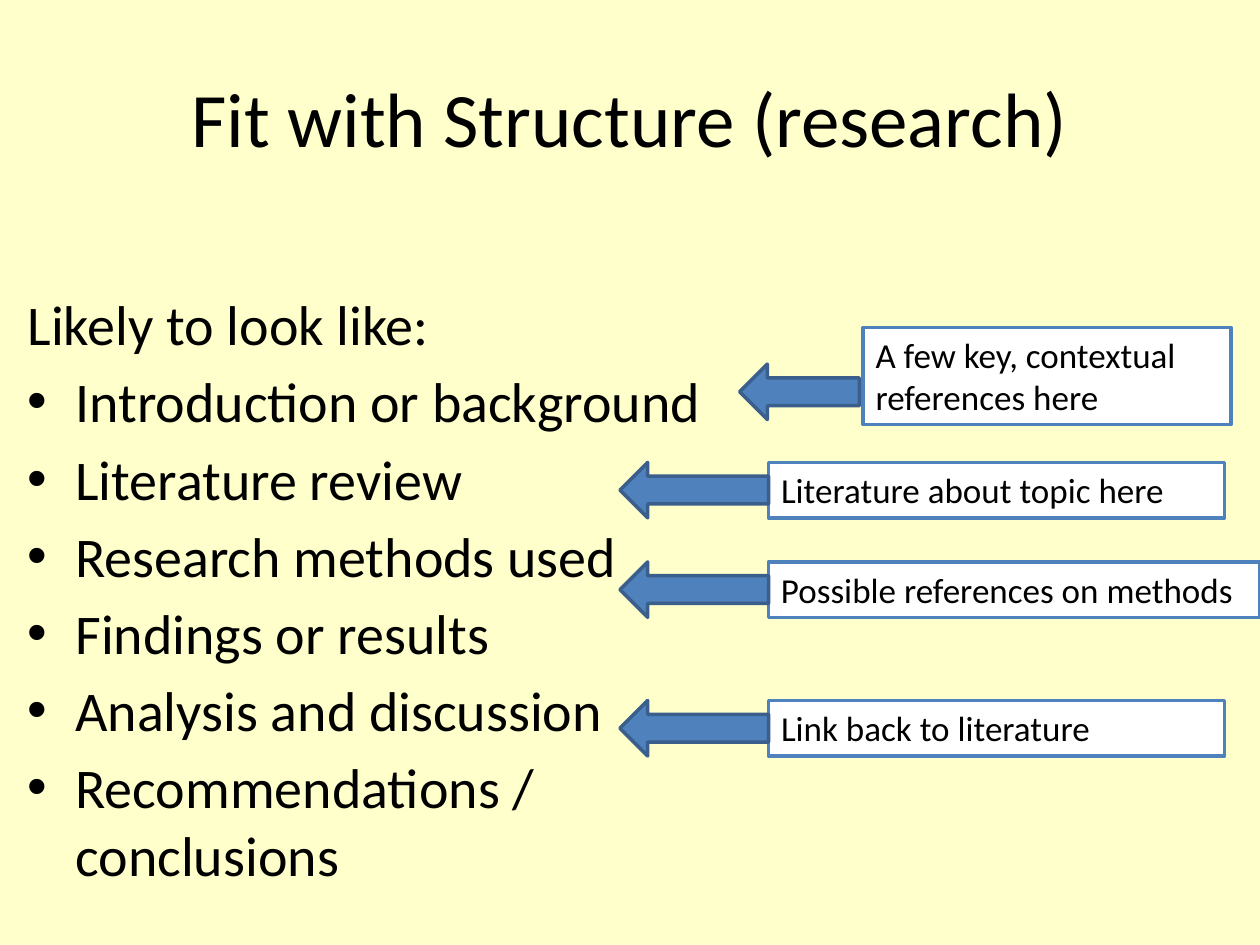
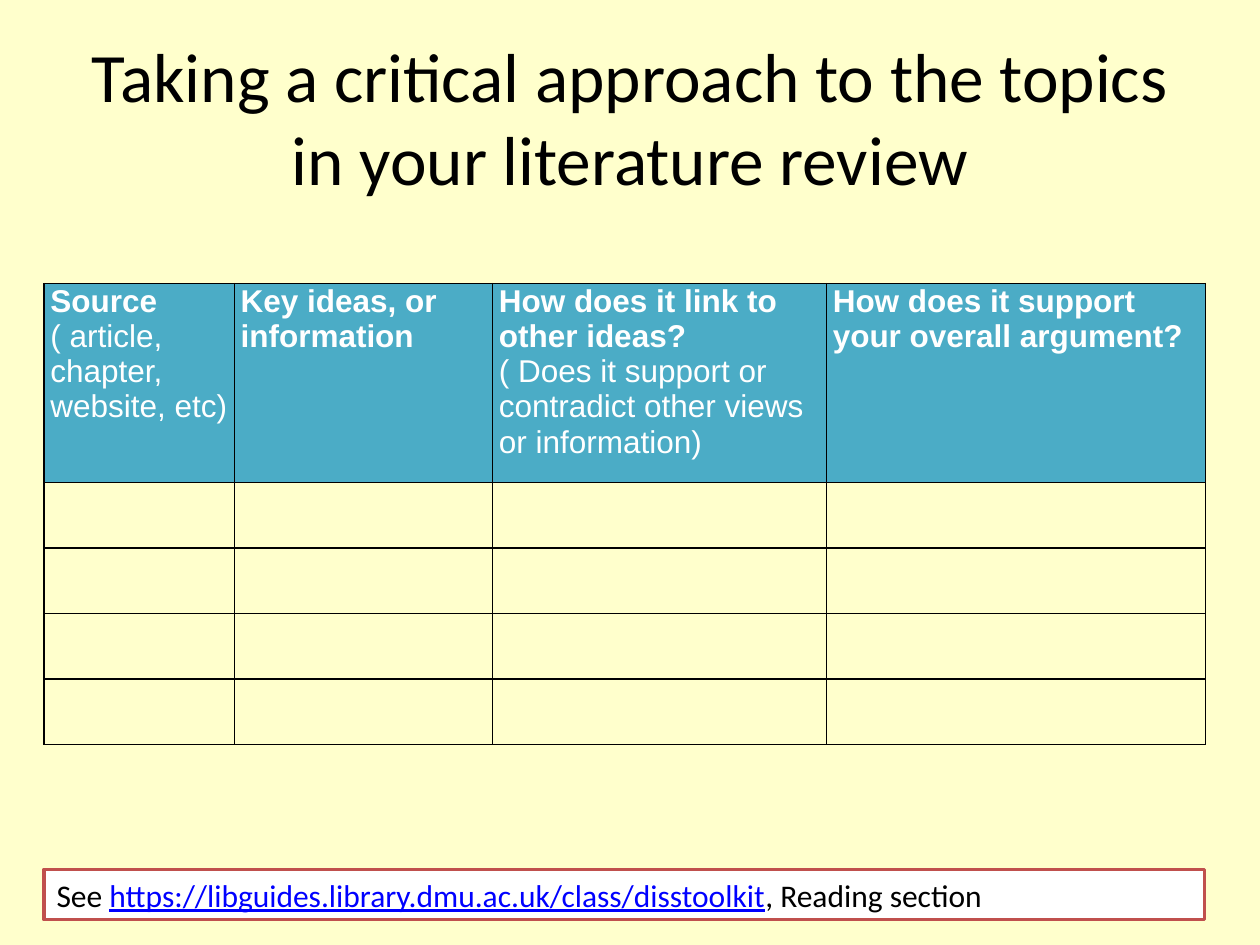
import pptx
import pptx.dml.color
import pptx.enum.shapes
import pptx.enum.text
import pptx.oxml.ns
import pptx.util
from lxml import etree

Inches = pptx.util.Inches
Pt = pptx.util.Pt

CREAM, WHITE, BLACK = "FFFFCC", "FFFFFF", "000000"
BLUE, DARK_BLUE, TEAL, RED, LINK = "4F81BD", "3A5F8C", "4BACC6", "C0504D", "0000FF"

SECTIONS = [
    "Introduction or background",
    "Literature review",
    "Research methods used",
    "Findings or results",
    "Analysis and discussion",
    "Recommendations / conclusions",
]
# note, box (left, top, width, height), arrow (left, top, width)
NOTES = [
    ("Literature about topic here", (6.1, 3.67, 3.62, 0.44), (4.92, 3.67, 1.18)),
    ("A few key, contextual references here", (6.85, 2.6, 2.92, 0.77), (5.87, 2.89, 0.95)),
    ("Link back to literature", (6.1, 5.56, 3.62, 0.44), (4.92, 5.56, 1.18)),
    ("Possible references on methods", (6.1, 4.46, 3.9, 0.44), (4.92, 4.46, 1.18)),
]
ARROW_HEIGHT = 0.44
# heading, explanation
COLUMNS = [
    ("Source", "( article, chapter, website, etc)"),
    ("Key ideas, or information", ""),
    ("How does it link to other ideas?",
     "( Does it support or contradict other views or information)"),
    ("How does it support your overall argument?", ""),
]
COLUMN_WIDTHS = [1.51, 2.05, 2.65, 3.01]
ROW_HEIGHTS = [1.58] + [0.52] * 4


def rgb(colour):
    return pptx.dml.color.RGBColor.from_string(colour)


def style(font, size, colour=BLACK, name="Calibri", bold=False):
    font.size, font.name, font.bold = Pt(size), name, bold
    font.color.rgb = rgb(colour)


def paint(shape, fill, line):
    shape.fill.solid()
    shape.fill.fore_color.rgb = rgb(fill)
    shape.line.color.rgb = rgb(line)
    shape.line.width = Pt(2)


def add_titled_slide(deck, text, size):
    slide = deck.slides.add_slide(deck.slide_layouts[5])
    title = slide.shapes.title
    title.left, title.top, title.width, title.height = map(Inches, (0.5, 0.3, 9, 1.25))
    frame = title.text_frame
    frame.text = text
    frame.auto_size = pptx.enum.text.MSO_AUTO_SIZE.NONE
    frame.vertical_anchor = pptx.enum.text.MSO_ANCHOR.MIDDLE
    frame.paragraphs[0].alignment = pptx.enum.text.PP_ALIGN.CENTER
    style(frame.paragraphs[0].runs[0].font, size)
    return slide


def add_text_box(slide, place):
    box = slide.shapes.add_textbox(*map(Inches, place))
    box.text_frame.word_wrap = True
    return box


def add_framed_box(slide, pieces, place, line, size):
    """Add a white box whose one paragraph holds the pieces as runs."""
    box = add_text_box(slide, place)
    paint(box, WHITE, line)
    paragraph = box.text_frame.paragraphs[0]
    for piece in pieces:
        run = paragraph.add_run()
        run.text = piece
        style(run.font, size)
    return paragraph.runs


def add_arrow(slide, left, top, width):
    arrow = slide.shapes.add_shape(
        pptx.enum.shapes.MSO_SHAPE.LEFT_ARROW,
        *map(Inches, (left, top, width, ARROW_HEIGHT)))
    arrow.shadow.inherit = False
    paint(arrow, BLUE, DARK_BLUE)


def add_bullet(paragraph):
    properties = paragraph._p.get_or_add_pPr()
    properties.set("marL", str(Inches(0.38)))
    properties.set("indent", str(-Inches(0.38)))
    qn = pptx.oxml.ns.qn
    etree.SubElement(properties, qn("a:buFont"), typeface="Arial")
    etree.SubElement(properties, qn("a:buChar"), char="•")


def add_outline(slide, lead, items):
    frame = add_text_box(slide, (0.12, 2.25, 6, 4.95)).text_frame
    frame.text = "\n".join([lead] + items)
    for paragraph in frame.paragraphs[1:]:
        add_bullet(paragraph)
        paragraph.space_before = Pt(5.7)
    for paragraph in frame.paragraphs:
        style(paragraph.runs[0].font, 32)


def add_borders(cell):
    qn = pptx.oxml.ns.qn
    properties = cell._tc.get_or_add_tcPr()
    for side in ("a:lnL", "a:lnR", "a:lnT", "a:lnB"):
        line = etree.SubElement(properties, qn(side), w=str(Pt(1)))
        fill = etree.SubElement(line, qn("a:solidFill"))
        etree.SubElement(fill, qn("a:srgbClr"), val=BLACK)


def fill_heading(cell, heading, explanation):
    cell.fill.solid()
    cell.fill.fore_color.rgb = rgb(TEAL)
    cell.margin_left = cell.margin_right = Inches(0.05)
    cell.margin_top = cell.margin_bottom = 0
    cell.text_frame.text = "\n".join(filter(None, (heading, explanation)))
    for index, paragraph in enumerate(cell.text_frame.paragraphs):
        style(paragraph.runs[0].font, 18, WHITE, "Arial", bold=index == 0)


def add_source_table(slide):
    table = slide.shapes.add_table(
        len(ROW_HEIGHTS), len(COLUMNS),
        *map(Inches, (0.35, 2.25, sum(COLUMN_WIDTHS), sum(ROW_HEIGHTS)))).table
    for column, width in zip(table.columns, COLUMN_WIDTHS):
        column.width = Inches(width)
    for row, height in zip(table.rows, ROW_HEIGHTS):
        row.height = Inches(height)
    for cell in table.iter_cells():
        add_borders(cell)
        cell.fill.background()
    for cell, texts in zip(table.rows[0].cells, COLUMNS):
        fill_heading(cell, *texts)


def main():
    deck = pptx.Presentation()
    deck.slide_width, deck.slide_height = Inches(10), Inches(7.5)
    background = deck.slide_master.background.fill
    background.solid()
    background.fore_color.rgb = rgb(CREAM)

    structure = add_titled_slide(deck, "Fit with Structure (research)", 44)
    add_outline(structure, "Likely to look like:", SECTIONS)
    for note, box, arrow in NOTES:
        add_framed_box(structure, [note], box, BLUE, 20)
        add_arrow(structure, *arrow)

    critical = add_titled_slide(
        deck, "Taking a critical approach to the topics in your literature review", 39.6)
    add_source_table(critical)
    see, address, section = add_framed_box(
        critical,
        ["See ", "https://libguides.library.dmu.ac.uk/class/disstoolkit", ", Reading section"],
        (0.35, 6.9, 9.21, 0.4), RED, 18)
    address.font.color.rgb = rgb(LINK)
    address.font.underline = True

    deck.save("out.pptx")


if __name__ == "__main__":
    main()
